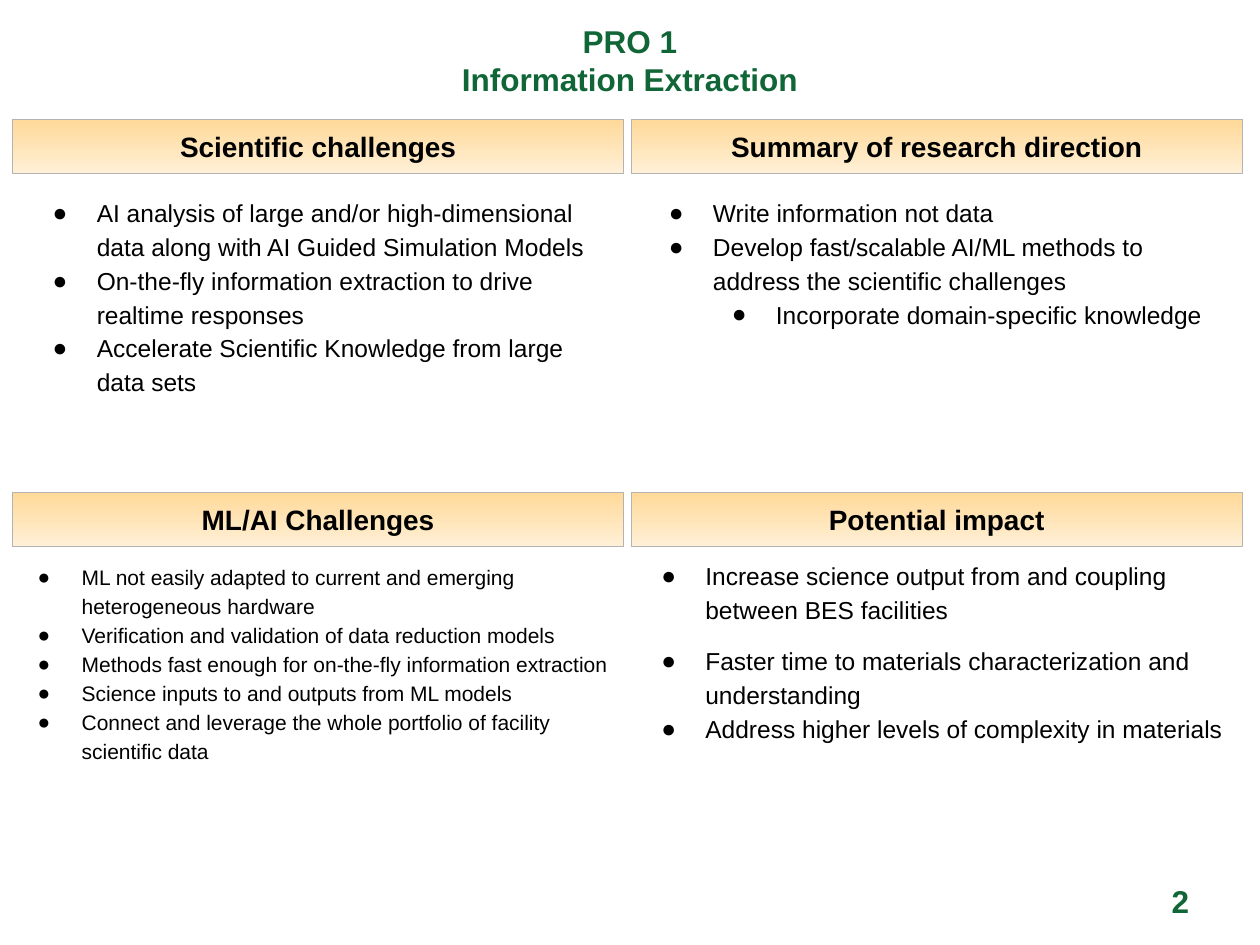
from lxml.etree import SubElement
from pptx import Presentation
from pptx.dml.color import RGBColor
from pptx.enum.shapes import MSO_SHAPE
from pptx.enum.text import MSO_ANCHOR, MSO_AUTO_SIZE, PP_ALIGN
from pptx.oxml.ns import qn
from pptx.util import Inches, Pt

GREEN, BLACK, BORDER = "106636", "000000", "B3B3B3"
BAND_COLORS = ("FFD999", "FFF0D7")
COLUMNS = (0.1, 5.01)
ROWS = (0.95, 3.91)
BAND_SIZE = (4.85, 0.43)

# Each panel: column, row, heading, text box, size, (text, level, space before)
PANELS = [
    (0, 0, "Scientific challenges", (0.17, 1.49, 4.67, 2.26), 14, [
        ("AI analysis of large and/or high-dimensional data along with "
         "AI Guided Simulation Models", 0, 0),
        ("On-the-fly information extraction to drive realtime responses", 0, 0),
        ("Accelerate Scientific Knowledge from large data sets", 0, 0),
    ]),
    (1, 0, "Summary of research direction", (5.06, 1.49, 4.81, 2.03), 14, [
        ("Write information not data", 0, 0),
        ("Develop fast/scalable AI/ML methods to address the scientific "
         "challenges", 0, 0),
        ("Incorporate domain-specific knowledge", 1, 0),
    ]),
    (0, 1, "ML/AI Challenges", (0.05, 4.4, 4.9, 2.19), 12, [
        ("ML not easily adapted to current and emerging heterogeneous "
         "hardware", 0, 0),
        ("Verification and validation of data reduction models", 0, 0),
        ("Methods fast enough for on-the-fly information extraction", 0, 0),
        ("Science inputs to and outputs from ML models", 0, 0),
        ("Connect and leverage the whole portfolio of facility scientific "
         "data", 0, 0),
    ]),
    (1, 1, "Potential impact", (5, 4.37, 4.9, 1.88), 14, [
        ("Increase science output from and coupling between BES facilities",
         0, 0),
        ("Faster time to materials characterization and understanding", 0, 10),
        ("Address higher levels of complexity in materials", 0, 0),
    ]),
]


def rgb(value):
    return RGBColor.from_string(value)


def inches(*lengths):
    return [Inches(length) for length in lengths]


def style(paragraph, size, color=BLACK, bold=False):
    font = paragraph.font
    font.name, font.size, font.bold = "Arial", Pt(size), bold
    font.color.rgb = rgb(color)


def add_bullet(paragraph, level):
    properties = paragraph._p.get_or_add_pPr()
    properties.set("marL", str(Inches(0.5 * (level + 1))))
    properties.set("indent", str(Inches(-0.35)))
    bullet_color = SubElement(properties, qn("a:buClr"))
    SubElement(bullet_color, qn("a:srgbClr"), val=BLACK)
    SubElement(properties, qn("a:buFont"), typeface="Arial")
    SubElement(properties, qn("a:buChar"), char="●")


def set_title(slide, text):
    title = slide.shapes.title
    title.left, title.top, title.width, title.height = inches(0, 0, 10, 0.95)
    frame = title.text_frame
    frame.auto_size = MSO_AUTO_SIZE.NONE
    frame.vertical_anchor = MSO_ANCHOR.MIDDLE
    heading = frame.paragraphs[0]
    heading.text = text
    heading.alignment = PP_ALIGN.CENTER
    style(heading, 18, GREEN, bold=True)


def add_band(slide, column, row, text):
    """Add a panel heading on a vertical gradient."""
    band = slide.shapes.add_shape(
        MSO_SHAPE.RECTANGLE, *inches(COLUMNS[column], ROWS[row], *BAND_SIZE))
    band.shadow.inherit = False
    band.fill.gradient()
    band.fill.gradient_angle = 270
    for stop, color in zip(band.fill.gradient_stops, BAND_COLORS):
        stop.color.rgb = rgb(color)
    band.line.color.rgb = rgb(BORDER)
    band.line.width = Pt(0.75)
    band.text_frame.vertical_anchor = MSO_ANCHOR.MIDDLE
    heading = band.text_frame.paragraphs[0]
    heading.text = text
    heading.alignment = PP_ALIGN.CENTER
    style(heading, 16, bold=True)


def add_bullet_list(slide, area, size, items):
    frame = slide.shapes.add_textbox(*inches(*area)).text_frame
    frame.word_wrap = True
    for index, (text, level, space) in enumerate(items):
        item = frame.add_paragraph() if index else frame.paragraphs[0]
        item.text = text
        add_bullet(item, level)
        item.line_spacing = 1.15
        if space:
            item.space_before = Pt(space)
        style(item, size)


def add_page_number(slide, number):
    frame = slide.shapes.add_textbox(*inches(9.2, 6.95, 0.42, 0.4)).text_frame
    frame.word_wrap = True
    frame.text = number
    style(frame.paragraphs[0], 18, GREEN, bold=True)


def main():
    presentation = Presentation()
    presentation.slide_width, presentation.slide_height = inches(10, 7.5)
    slide = presentation.slides.add_slide(presentation.slide_layouts[5])
    set_title(slide, "PRO 1\nInformation Extraction")
    for column, row, heading, area, size, items in PANELS:
        add_band(slide, column, row, heading)
        add_bullet_list(slide, area, size, items)
    add_page_number(slide, "2")
    presentation.save("out.pptx")


if __name__ == "__main__":
    main()
